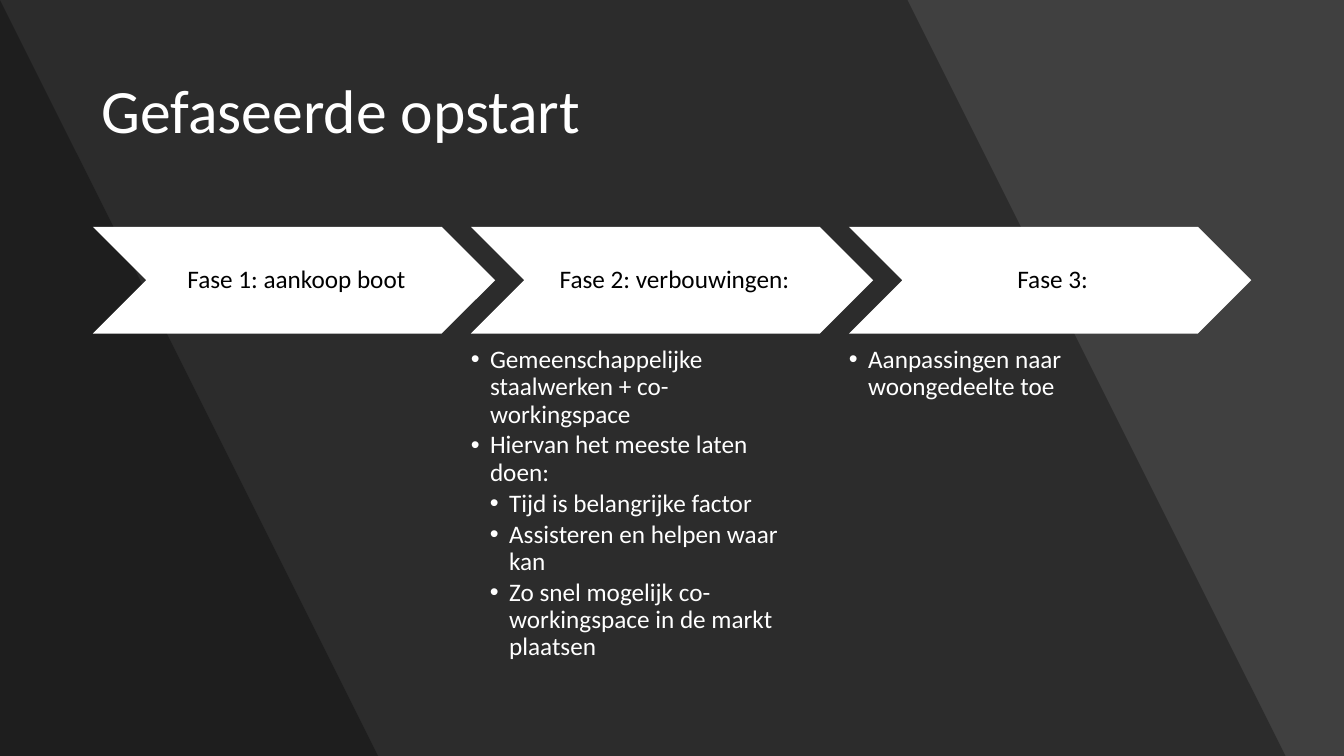
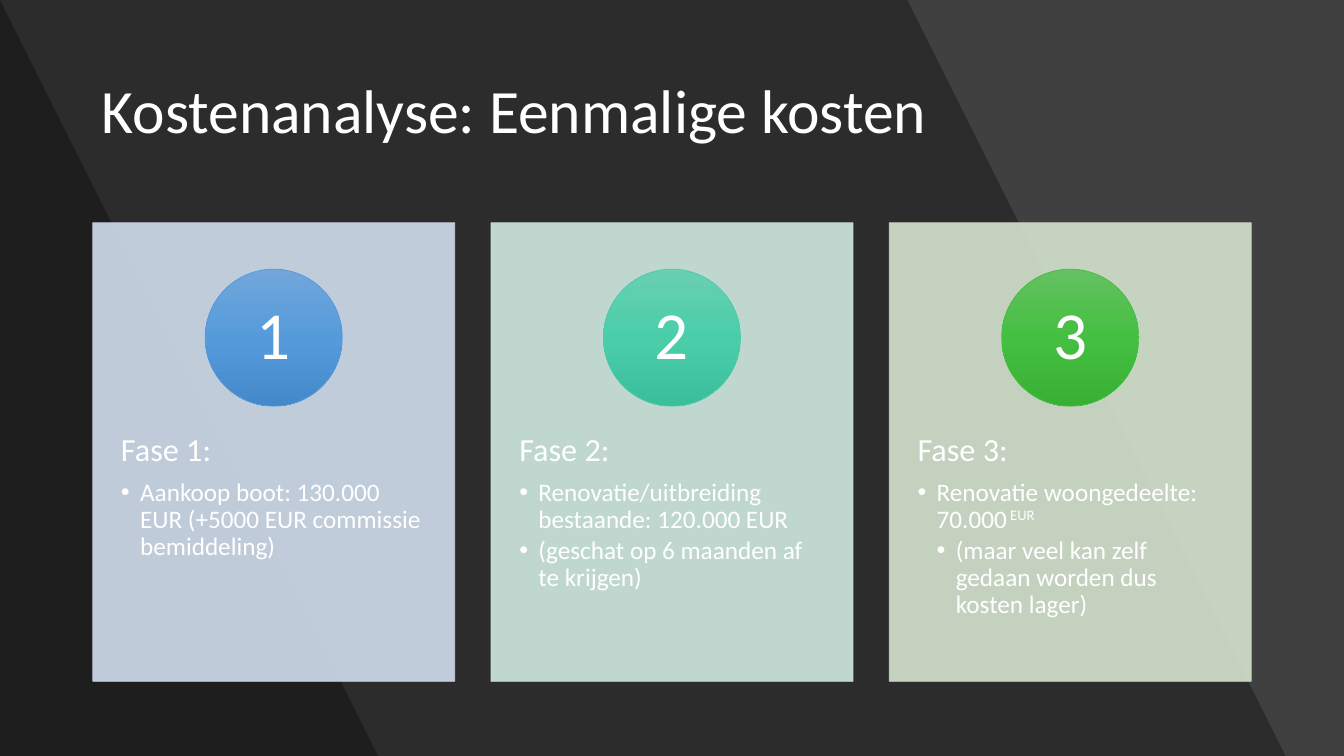
"""Build two dark slides: a phased start-up and its one-off costs."""
from copy import deepcopy

from lxml.etree import SubElement
from pptx import Presentation
from pptx.dml.color import RGBColor
from pptx.enum.shapes import MSO_SHAPE
from pptx.enum.text import MSO_ANCHOR, PP_ALIGN
from pptx.oxml.ns import qn
from pptx.util import Emu, Inches, Pt

FONT = "Calibri"
WHITE = RGBColor(0xFF, 0xFF, 0xFF)
BLACK = RGBColor(0x00, 0x00, 0x00)
BACKGROUND = RGBColor(0x40, 0x40, 0x40)
BLUE_TINT = RGBColor(0xD2, 0xDE, 0xEF)
TEAL_TINT = RGBColor(0xD0, 0xEA, 0xE1)
GREEN_TINT = RGBColor(0xD5, 0xE3, 0xCF)
BLUES = (RGBColor(0x71, 0xA6, 0xDB), RGBColor(0x55, 0x9B, 0xDB), RGBColor(0x44, 0x8A, 0xCA))
TEALS = (RGBColor(0x69, 0xCF, 0xB1), RGBColor(0x4A, 0xCE, 0xAA), RGBColor(0x3B, 0xBE, 0x9A))
GREENS = (RGBColor(0x64, 0xC1, 0x62), RGBColor(0x44, 0xBF, 0x41), RGBColor(0x37, 0xB0, 0x34))

SLIDE_WIDTH, SLIDE_HEIGHT = 13.33, 7.5
BANDS = ((9.42, 12.89), (0.44, 3.92))
LEFT = 0.92
INDENT = 0.19

PHASE_TITLE = "Gefaseerde opstart"
PHASES = [
    ("Fase 1: aankoop boot", []),
    ("Fase 2: verbouwingen:", [
        (1, "Gemeenschappelijke staalwerken + co-workingspace"),
        (1, "Hiervan het meeste laten doen:"),
        (2, "Tijd is belangrijke factor"),
        (2, "Assisteren en helpen waar kan"),
        (2, "Zo snel mogelijk co-workingspace in de markt plaatsen"),
    ]),
    ("Fase 3:", [(1, "Aanpassingen naar woongedeelte toe")]),
]
PHASE_PITCH, PHASE_TOP, PHASE_WIDTH, PHASE_HEIGHT = 3.75, 2.25, 3.99, 1.06

COST_TITLE = "Kostenanalyse: Eenmalige kosten"
COSTS = [
    ("Fase 1:", BLUE_TINT, BLUES, [
        (1, "Aankoop boot: 130.000 EUR (+5000 EUR commissie bemiddeling)"),
    ]),
    ("Fase 2:", TEAL_TINT, TEALS, [
        (1, "Renovatie/uitbreiding bestaande: 120.000 EUR"),
        (1, "(geschat op 6 maanden af te krijgen)"),
    ]),
    ("Fase 3:", GREEN_TINT, GREENS, [
        (1, "Renovatie woongedeelte: 70.000", " EUR"),
        (2, "(maar veel kan zelf gedaan worden dus kosten lager)"),
    ]),
]
CARD_PITCH, CARD_TOP, CARD_WIDTH, CARD_HEIGHT = 3.95, 2.21, 3.59, 4.55
CIRCLE_SIZE, CIRCLE_OFFSET = 1.36, 0.46


def set_alpha(fill, percent):
    color = fill._xPr.find(".//" + qn("a:srgbClr"))
    SubElement(color, qn("a:alpha"), val=str(percent * 1000))


def add_shape(slide, kind, left, top, width, height):
    shape = slide.shapes.add_shape(kind, Inches(left), Inches(top), Inches(width), Inches(height))
    shape.shadow.inherit = False
    shape.line.fill.background()
    return shape


def set_frame(shape, margins, anchor):
    frame = shape.text_frame
    frame.word_wrap = True
    frame.vertical_anchor = anchor
    frame.margin_left, frame.margin_top, frame.margin_right, frame.margin_bottom = map(Inches, margins)
    return frame


def style_paragraph(paragraph, size, color=WHITE, align=PP_ALIGN.LEFT, after=0):
    paragraph.alignment = align
    paragraph.line_spacing = 0.9
    paragraph.space_after = Pt(after)
    paragraph.font.name = FONT
    paragraph.font.size = Pt(size)
    paragraph.font.color.rgb = color


def write_bullets(frame, items, first=None):
    for level, text, *superscripts in items:
        paragraph = first if first is not None else frame.add_paragraph()
        first = None
        properties = paragraph._p.get_or_add_pPr()
        properties.set("marL", str(Inches(INDENT * level)))
        properties.set("indent", str(-Inches(INDENT)))
        SubElement(properties, qn("a:buFont"), typeface="Arial")
        SubElement(properties, qn("a:buChar"), char="•")
        style_paragraph(paragraph, 18, after=2.7)
        paragraph.add_run().text = text
        for superscript in superscripts:
            run = paragraph.add_run()
            run.text = superscript
            run.font._element.set("baseline", "30000")


def add_slide(presentation, title):
    slide = presentation.slides.add_slide(presentation.slide_layouts[6])
    slide.background.fill.solid()
    slide.background.fill.fore_color.rgb = BACKGROUND
    for top_edge, bottom_edge in BANDS:
        builder = slide.shapes.build_freeform(0, 0, scale=Emu(Inches(1)))
        builder = slide.shapes.build_freeform(0, 0, scale=Inches(1))
        builder.add_line_segments([(top_edge, 0), (bottom_edge, SLIDE_HEIGHT), (0, SLIDE_HEIGHT)])
        band = builder.convert_to_shape()
        band.shadow.inherit = False
        band.line.fill.background()
        band.fill.solid()
        band.fill.fore_color.rgb = BLACK
        set_alpha(band.fill, 30)
    box = slide.shapes.add_textbox(Inches(0.91), Inches(0.4), Inches(11.51), Inches(1.45))
    frame = set_frame(box, (0.1, 0.05, 0.1, 0.05), MSO_ANCHOR.MIDDLE)
    frame.text = title
    style_paragraph(frame.paragraphs[0], 44)
    return slide


def add_phase(slide, column, heading, items):
    left = LEFT + column * PHASE_PITCH
    chevron = add_shape(slide, MSO_SHAPE.CHEVRON, left, PHASE_TOP, PHASE_WIDTH, PHASE_HEIGHT)
    chevron.fill.solid()
    chevron.fill.fore_color.rgb = WHITE
    frame = set_frame(chevron, (0.08, 0.03, 0.03, 0.03), MSO_ANCHOR.MIDDLE)
    frame.text = heading
    style_paragraph(frame.paragraphs[0], 18, BLACK, PP_ALIGN.CENTER)
    if items:
        box = slide.shapes.add_textbox(Inches(left), Inches(3.44), Inches(3.19), Inches(3.28))
        frame = set_frame(box, (0, 0, 0, 0), MSO_ANCHOR.TOP)
        write_bullets(frame, items, frame.paragraphs[0])


def fill_gradient(shape, colors):
    shape.fill.gradient()
    shape.fill.gradient_angle = 270
    stop_list = shape.fill._xPr.find(".//" + qn("a:gsLst"))
    stop_list.append(deepcopy(stop_list[-1]))
    for index, color in enumerate(colors):
        stop = shape.fill.gradient_stops[index]
        stop.position = index / (len(colors) - 1)
        stop.color.rgb = color


def add_cost(slide, column, heading, tint, gradient, items):
    left = LEFT + column * CARD_PITCH
    card = add_shape(slide, MSO_SHAPE.RECTANGLE, left, CARD_TOP, CARD_WIDTH, CARD_HEIGHT)
    card.line.width = Pt(0.5)
    for fill in (card.fill, card.line.fill):
        fill.solid()
        fill.fore_color.rgb = tint
        set_alpha(fill, 90)
    frame = set_frame(card, (0.28, 2.09, 0.28, 0.36), MSO_ANCHOR.TOP)
    frame.text = heading
    style_paragraph(frame.paragraphs[0], 23, after=8)
    write_bullets(frame, items)

    circle = add_shape(slide, MSO_SHAPE.OVAL, left + (CARD_WIDTH - CIRCLE_SIZE) / 2,
                       CARD_TOP + CIRCLE_OFFSET, CIRCLE_SIZE, CIRCLE_SIZE)
    fill_gradient(circle, gradient)
    circle.line.width = Pt(0.5)
    circle.line.color.rgb = gradient[1]
    frame = set_frame(circle, (0.11, 0.01, 0.11, 0.01), MSO_ANCHOR.MIDDLE)
    frame.text = str(column + 1)
    style_paragraph(frame.paragraphs[0], 48, align=PP_ALIGN.CENTER)


def main():
    presentation = Presentation()
    presentation.slide_width = Inches(SLIDE_WIDTH)
    presentation.slide_height = Inches(SLIDE_HEIGHT)
    phase_slide = add_slide(presentation, PHASE_TITLE)
    for column, phase in enumerate(PHASES):
        add_phase(phase_slide, column, *phase)
    cost_slide = add_slide(presentation, COST_TITLE)
    for column, cost in enumerate(COSTS):
        add_cost(cost_slide, column, *cost)
    presentation.save("out.pptx")


if __name__ == "__main__":
    main()
